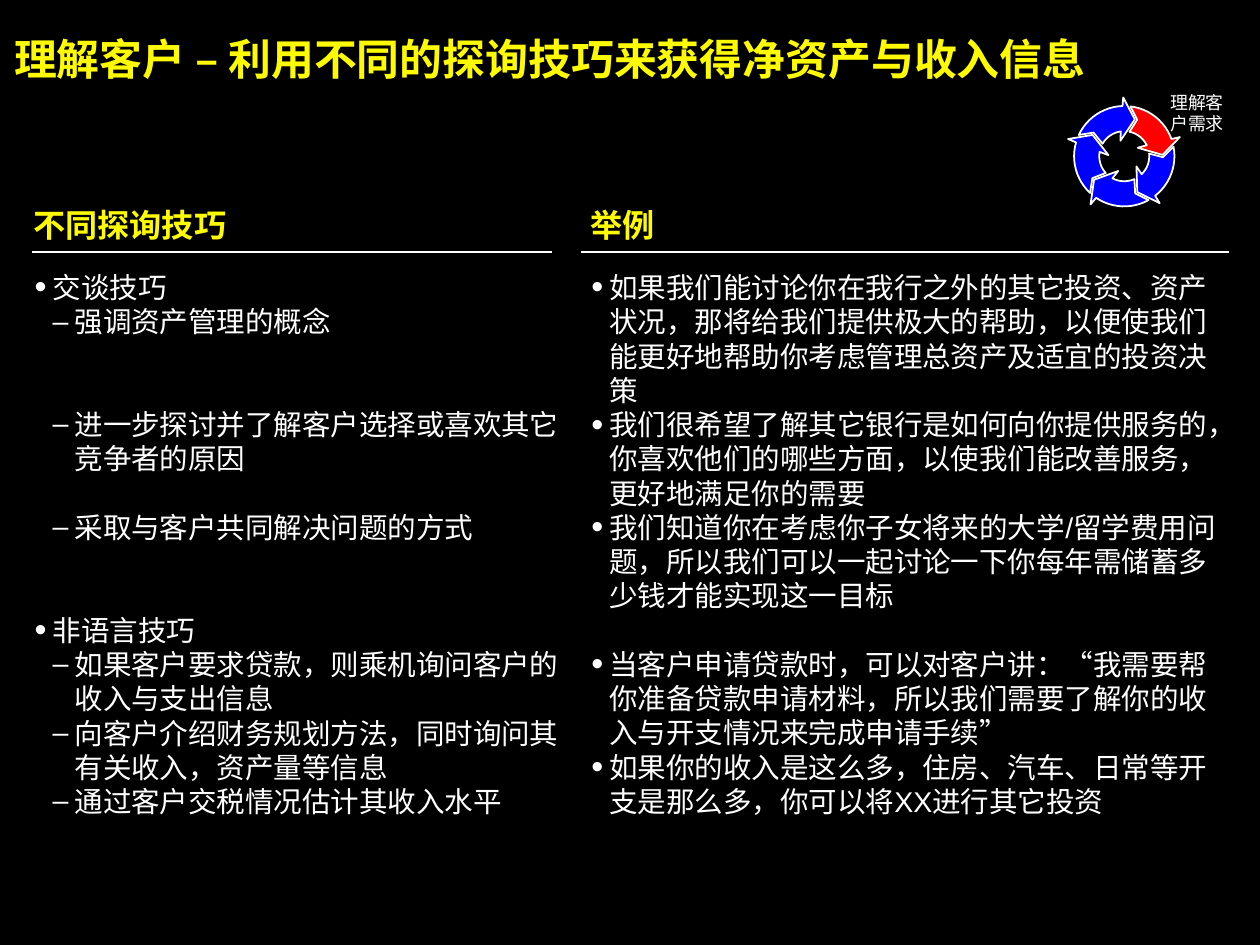
import math
from dataclasses import dataclass

import pptx
import pptx.dml.color
import pptx.enum.shapes
import pptx.enum.text
import pptx.oxml.ns
import pptx.util
from lxml import etree
from pptx.util import Pt

COLORS = {"background": "000000", "heading": "FEFB00", "text": "FFFFFF",
          "step": "0000FE", "current_step": "FF0000"}
FONT = "Arial"
LINE_HEIGHT = 19.2
ARROW_COUNT = 5
CYCLE_CENTER = (629.6, 87.5)
OUTER_RADIUS, INNER_RADIUS = 28.1, 14


@dataclass(frozen=True)
class Box:
    left: float
    top: float
    width: float
    height: float


@dataclass(frozen=True)
class BulletStyle:
    char: str
    margin: float
    indent: float
    percent: int


@dataclass(frozen=True)
class Item:
    text: str
    level: int = 1
    lines_before: int = 0


@dataclass(frozen=True)
class Column:
    heading: str
    heading_box: Box
    rule_left: float
    rule_right: float
    items_box: Box
    items: tuple[Item, ...]


BULLETS = {1: BulletStyle("•", 10.8, -10.08, 120),
           2: BulletStyle("–", 23.04, -12.24, 100)}

COLUMNS = (
    Column("不同探询技巧", Box(18.72, 115.2, 183.6, 21.6), 18, 308.9,
           Box(18.72, 151.2, 303.12, 331.2), (
               Item("交谈技巧"),
               Item("强调资产管理的概念", 2),
               Item("进一步探讨并了解客户选择或喜欢其它竞争者的原因", 2, 2),
               Item("采取与客户共同解决问题的方式", 2, 1),
               Item("非语言技巧", 1, 2),
               Item("如果客户要求贷款，则乘机询问客户的收入与支出信息", 2),
               Item("向客户介绍财务规划方法，同时询问其有关收入，资产量等信息", 2),
               Item("通过客户交税情况估计其收入水平", 2))),
    Column("举例", Box(330.48, 115.2, 172.08, 21.6), 325.4, 688.3,
           Box(330.48, 151.2, 360.72, 309.6), (
               Item("如果我们能讨论你在我行之外的其它投资、资产状况，那将给我们提供极大的帮助，"
                    "以便使我们能更好地帮助你考虑管理总资产及适宜的投资决策"),
               Item("我们很希望了解其它银行是如何向你提供服务的，你喜欢他们的哪些方面，"
                    "以使我们能改善服务，更好地满足你的需要"),
               Item("我们知道你在考虑你子女将来的大学/留学费用问题，"
                    "所以我们可以一起讨论一下你每年需储蓄多少钱才能实现这一目标"),
               Item("当客户申请贷款时，可以对客户讲：“我需要帮你准备贷款申请材料，"
                    "所以我们需要了解你的收入与开支情况来完成申请手续”", 1, 1),
               Item("如果你的收入是这么多，住房、汽车、日常等开支是那么多，"
                    "你可以将XX进行其它投资"))),
)


def rgb(name: str) -> pptx.dml.color.RGBColor:
    return pptx.dml.color.RGBColor.from_string(COLORS[name])


def place(shape, box: Box) -> None:
    shape.left, shape.top = Pt(box.left), Pt(box.top)
    shape.width, shape.height = Pt(box.width), Pt(box.height)


def add_bullet(paragraph, style: BulletStyle) -> None:
    properties = paragraph._p.get_or_add_pPr()
    properties.set("marL", str(Pt(style.margin)))
    properties.set("indent", str(Pt(style.indent)))
    qn = pptx.oxml.ns.qn
    bullet_color = etree.SubElement(properties, qn("a:buClr"))
    etree.SubElement(bullet_color, qn("a:srgbClr"), val=COLORS["text"])
    etree.SubElement(properties, qn("a:buSzPct"), val=str(style.percent * 1000))
    etree.SubElement(properties, qn("a:buFont"), typeface=FONT)
    etree.SubElement(properties, qn("a:buChar"), char=style.char)


def write(frame, text: str, *, size: float, color: str = "text", bold: bool = False,
          align=pptx.enum.text.PP_ALIGN.LEFT, first: bool = True,
          lines_before: int = 0, bullet: BulletStyle | None = None) -> None:
    """Write one paragraph; the first one also resets the frame's layout."""
    if first:
        frame.word_wrap = True
        frame.auto_size = pptx.enum.text.MSO_AUTO_SIZE.NONE
        frame.vertical_anchor = pptx.enum.text.MSO_ANCHOR.TOP
        frame.margin_left = frame.margin_right = 0
        frame.margin_top = frame.margin_bottom = 0
    paragraph = frame.paragraphs[0] if first else frame.add_paragraph()
    paragraph.alignment = align
    if lines_before:
        paragraph.space_before = Pt(lines_before * LINE_HEIGHT)
    if bullet:
        add_bullet(paragraph, bullet)
    run = paragraph.add_run()
    run.text = text
    run.font.name, run.font.size, run.font.bold = FONT, Pt(size), bold
    run.font.color.rgb = rgb(color)


def add_frame(slide, box: Box):
    textbox = slide.shapes.add_textbox(0, 0, 0, 0)
    place(textbox, box)
    return textbox.text_frame


def add_rule(slide, left: float, right: float, top: float) -> None:
    rule = slide.shapes.add_connector(pptx.enum.shapes.MSO_CONNECTOR.STRAIGHT,
                                      Pt(left), Pt(top), Pt(right), Pt(top))
    rule.line.color.rgb = rgb("text")
    rule.line.width = Pt(1)
    etree.SubElement(rule._element.spPr, pptx.oxml.ns.qn("a:effectLst"))


def add_column(slide, column: Column) -> None:
    write(add_frame(slide, column.heading_box), column.heading,
          size=18, color="heading", bold=True)
    add_rule(slide, column.rule_left, column.rule_right, 141.1)
    frame = add_frame(slide, column.items_box)
    for index, item in enumerate(column.items):
        write(frame, item.text, size=16, first=index == 0,
              lines_before=item.lines_before, bullet=BULLETS[item.level])


def arc(radius: float, start: int, end: int, steps: int = 12) -> list[tuple[float, float]]:
    return [(radius, start + (end - start) * i / steps) for i in range(steps + 1)]


def add_cycle_arrow(slide, turn: float, color: str) -> None:
    """Draw one arrow of the ring from polar points, turned clockwise in degrees."""
    head = [(8.9, 256), (21.4, 286), (32.9, 269)]
    notch = [(21.7, 217.5)]
    outline = arc(INNER_RADIUS, 210, 262) + head + arc(OUTER_RADIUS, 268, 205) + notch
    points = []
    for radius, degrees in outline:
        angle = math.radians(degrees + turn)
        points.append((Pt(CYCLE_CENTER[0] + radius * math.cos(angle)),
                       Pt(CYCLE_CENTER[1] + radius * math.sin(angle))))
    builder = slide.shapes.build_freeform(*points[0])
    builder.add_line_segments(points[1:], close=True)
    arrow = builder.convert_to_shape()
    arrow.shadow.inherit = False
    arrow.fill.solid()
    arrow.fill.fore_color.rgb = rgb(color)
    arrow.line.color.rgb = rgb("text")
    arrow.line.width = Pt(1)


def main() -> None:
    presentation = pptx.Presentation()
    presentation.slide_width, presentation.slide_height = Pt(705.6), Pt(529.2)
    slide = presentation.slides.add_slide(presentation.slide_layouts[5])
    slide.background.fill.solid()
    slide.background.fill.fore_color.rgb = rgb("background")

    title = slide.shapes.title
    place(title, Box(7.92, 18, 684.72, 28.8))
    write(title.text_frame, "理解客户 – 利用不同的探询技巧来获得净资产与收入信息",
          size=24, color="heading", bold=True)

    for column in COLUMNS:
        add_column(slide, column)

    for step in range(ARROW_COUNT):
        add_cycle_arrow(slide, step * 360 / ARROW_COUNT,
                        "current_step" if step == 1 else "step")
    write(add_frame(slide, Box(652.3, 51.1, 36, 23.8)), "理解客户需求",
          size=10, align=pptx.enum.text.PP_ALIGN.CENTER)

    presentation.save("out.pptx")


if __name__ == "__main__":
    main()
